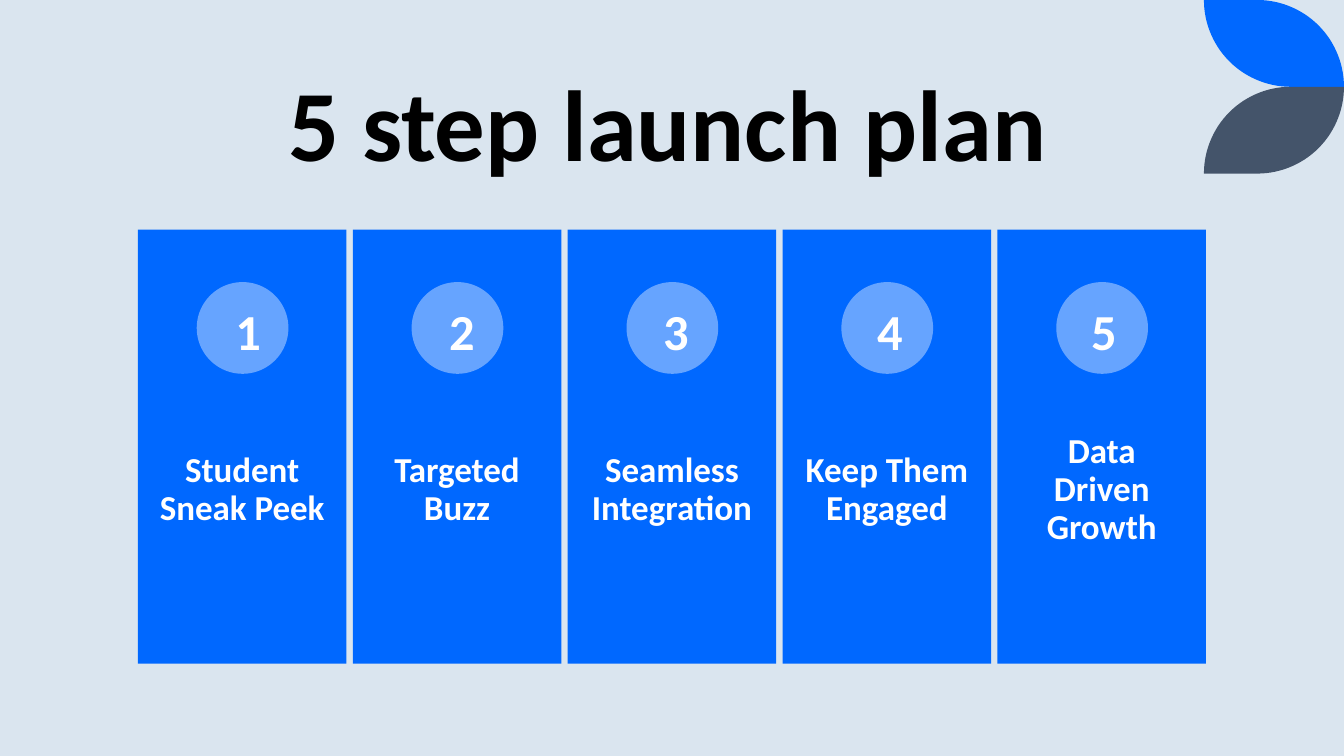
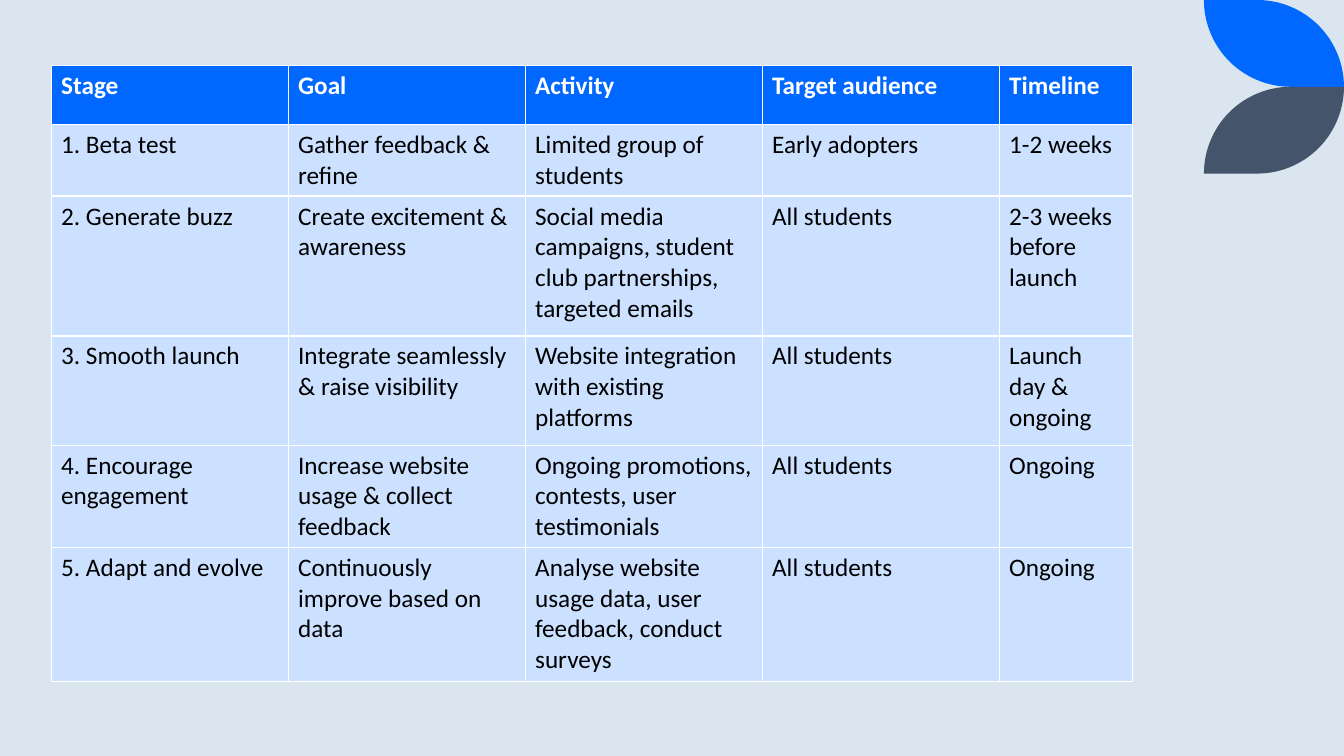
"""Build a two-slide launch plan: five numbered steps and a stage table."""
import math

from lxml import etree
from pptx import Presentation
from pptx import util as u
from pptx.dml import color
from pptx.enum import shapes, text
from pptx.oxml import ns


class Theme:
    font = "Calibri"
    back = "DAE5EF"
    blue = "0068FF"
    slate = "44546A"
    light = "66A4FF"
    pale = "CCE1FF"
    white = "FFFFFF"
    black = "000000"
    title = 72
    number = 36
    label = 25
    body = 18


def write(frame, words, size=Theme.body, tint=Theme.white, bold=True,
          align=None, anchor=None, inset=None, lead=None):
    frame.word_wrap = True
    if anchor is not None:
        frame.vertical_anchor = anchor
    if inset is not None:
        frame.margin_left = frame.margin_right = u.Pt(inset)
        frame.margin_top = frame.margin_bottom = u.Pt(inset)
    para = frame.paragraphs[0]
    para.alignment = align
    para.line_spacing = lead
    run = para.add_run()
    run.text = words
    run.font.name = Theme.font
    run.font.size = u.Pt(size)
    run.font.bold = bold
    run.font.color.rgb = color.RGBColor.from_string(tint)


def paint(shape, tint):
    shape.shadow.inherit = False
    shape.fill.solid()
    shape.fill.fore_color.rgb = color.RGBColor.from_string(tint)
    shape.line.fill.background()


deck = Presentation()
deck.slide_width, deck.slide_height = u.Pt(960), u.Pt(540)
master = deck.slide_master
master.background.fill.solid()
master.background.fill.fore_color.rgb = color.RGBColor.from_string(Theme.back)
plan = deck.slides.add_slide(deck.slide_layouts[5])
stages = deck.slides.add_slide(deck.slide_layouts[6])

left, right, high = 860, 960, 62
turns = [math.radians(deg) for deg in range(0, 91, 3)]
edge = [(left, 0)]
edge += [(right - high + high * math.sin(t), high - high * math.cos(t)) for t in turns]
edge += [(left + high - high * math.sin(t), high * math.cos(t)) for t in turns]
grain = 100
for index, tint in enumerate([Theme.blue, Theme.slate]):
    dots = [(x * grain, (2 * high - y if index else y) * grain) for x, y in edge]
    pen = plan.shapes.build_freeform(*dots[0], scale=u.Pt(1) / grain)
    pen.add_line_segments(dots[1:], close=True)
    leaf = pen.convert_to_shape()
    paint(leaf, tint)
    leaf.name = f"Leaf {index + 1}"
    leaf.element.nvSpPr.cNvPr.set("id", str(20 + index))
    master.shapes.element.append(leaf.element)

center, middle = text.PP_ALIGN.CENTER, text.MSO_ANCHOR.MIDDLE
head = plan.shapes.title
head.left, head.top, head.width, head.height = map(u.Pt, (92, 30, 770, 104.5))
head.text_frame.auto_size = text.MSO_AUTO_SIZE.NONE
write(head.text_frame, "5 step launch plan", size=Theme.title, tint=Theme.black,
      align=center, anchor=text.MSO_ANCHOR.BOTTOM, lead=0.9)

steps = ["Student Sneak Peek", "Targeted Buzz", "Seamless Integration",
         "Keep Them Engaged", "Data Driven Growth"]
kinds = shapes.MSO_SHAPE
for index, step in enumerate(steps):
    x = 98.5 + 153.5 * index
    card = plan.shapes.add_shape(kinds.RECTANGLE, *map(u.Pt, (x, 164, 149, 310)))
    paint(card, Theme.blue)
    disc = plan.shapes.add_shape(kinds.OVAL, *map(u.Pt, (x + 42, 201.5, 65.5, 65.5)))
    paint(disc, Theme.light)
    label = plan.shapes.add_textbox(*map(u.Pt, (x, 288, 149, 124)))
    write(label.text_frame, step, size=Theme.label, align=center,
          anchor=middle, inset=13.7, lead=0.9)
    number = plan.shapes.add_textbox(*map(u.Pt, (161 + 152.8 * index, 211, 27, 51)))
    write(number.text_frame, str(index + 1), size=Theme.number, align=center)

rows = [
    ["Stage", "Goal", "Activity", "Target audience", "Timeline"],
    ["1. Beta test", "Gather feedback & refine", "Limited group of students",
     "Early adopters", "1-2 weeks"],
    ["2. Generate buzz", "Create excitement & awareness",
     "Social media campaigns, student club partnerships, targeted emails",
     "All students", "2-3 weeks before launch"],
    ["3. Smooth launch", "Integrate seamlessly & raise visibility",
     "Website integration with existing platforms",
     "All students", "Launch day & ongoing"],
    ["4. Encourage engagement", "Increase website usage & collect feedback",
     "Ongoing promotions, contests, user testimonials", "All students", "Ongoing"],
    ["5. Adapt and evolve", "Continuously improve based on data",
     "Analyse website usage data, user feedback, conduct surveys",
     "All students", "Ongoing"],
]
widths = [169.3] * 4 + [95.5]
heights = [42, 51, 100, 78, 73, 96]
frame = stages.shapes.add_table(len(rows), len(widths), u.Pt(36.5), u.Pt(47),
                                u.Pt(sum(widths)), u.Pt(sum(heights)))
grid = frame.table
grid.horz_banding = False
for column, width in zip(grid.columns, widths):
    column.width = u.Pt(width)
for r, (row, height) in enumerate(zip(rows, heights)):
    grid.rows[r].height = u.Pt(height)
    for c, words in enumerate(row):
        cell = grid.cell(r, c)
        props = cell._tc.get_or_add_tcPr()
        for side in ["lnL", "lnR", "lnT", "lnB"]:
            line = etree.SubElement(props, ns.qn(f"a:{side}"), w=str(u.Pt(1)))
            fill = etree.SubElement(line, ns.qn("a:solidFill"))
            etree.SubElement(fill, ns.qn("a:srgbClr"), val=Theme.white)
        cell.fill.solid()
        cell.fill.fore_color.rgb = color.RGBColor.from_string(
            Theme.pale if r else Theme.blue)
        write(cell.text_frame, words, bold=r == 0,
              tint=Theme.black if r else Theme.white)

deck.save("out.pptx")
